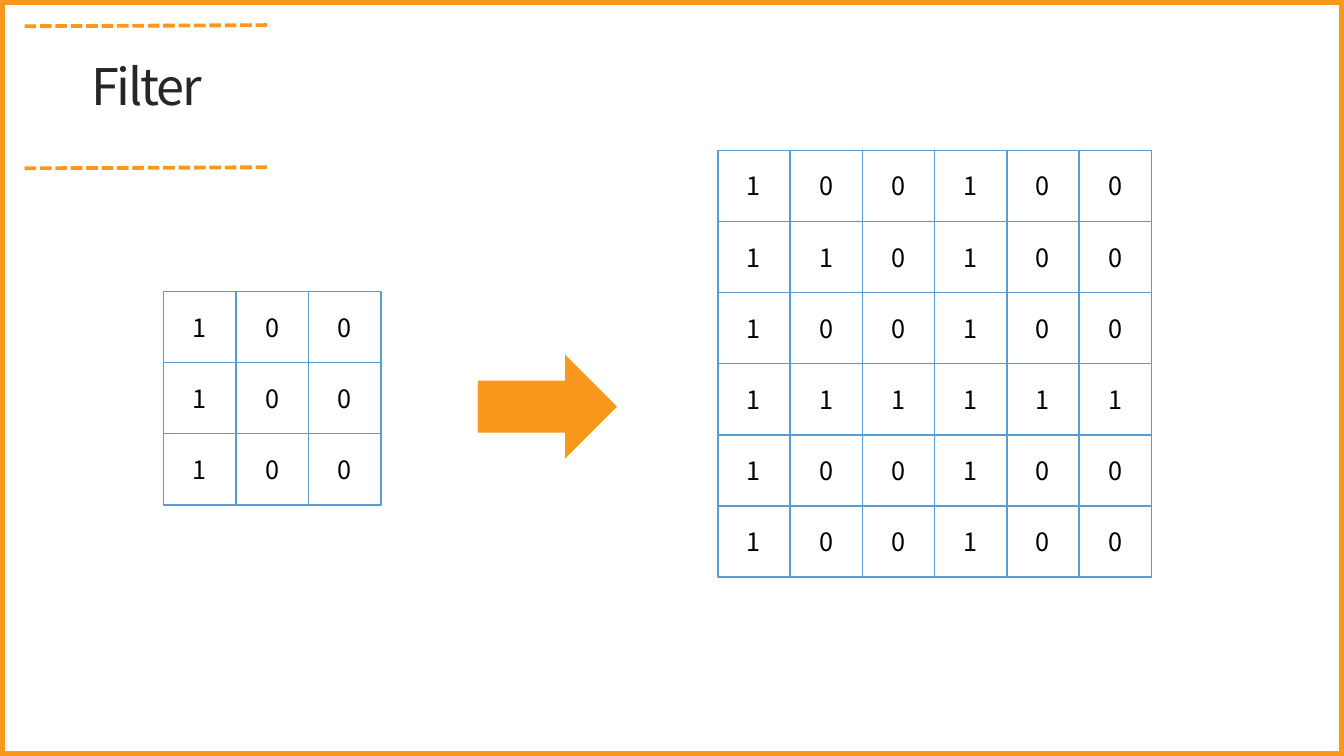
from dataclasses import dataclass

from lxml.etree import SubElement
from pptx import Presentation
from pptx.dml.color import RGBColor
from pptx.enum.dml import MSO_LINE
from pptx.enum.shapes import MSO_CONNECTOR, MSO_SHAPE
from pptx.enum.text import MSO_ANCHOR, PP_ALIGN
from pptx.oxml.ns import qn
from pptx.util import Inches, Pt

WIDTH, HEIGHT = Inches(13.33), Inches(7.5)


@dataclass(frozen=True)
class Theme:
    font: str = "Noto Sans CJK KR"
    accent: RGBColor = RGBColor(0xF8, 0x98, 0x1D)
    title: RGBColor = RGBColor(0x26, 0x26, 0x26)
    digit: RGBColor = RGBColor(0, 0, 0)
    cell: RGBColor = RGBColor(0xFF, 0xFF, 0xFF)
    cell_edge: RGBColor = RGBColor(0x5B, 0x9B, 0xD5)
    title_size: Pt = Pt(36)
    digit_size: Pt = Pt(18)
    frame_width: Pt = Pt(3.75)
    rule_width: Pt = Pt(2.75)
    edge_width: Pt = Pt(1)


THEME = Theme()
FILTER_ROWS = ["100"] * 3
INPUT_ROWS = ["100100", "110100", "100100", "111111", "100100", "100100"]


def across(percent):
    return round(WIDTH * percent / 100)


def down(percent):
    return round(HEIGHT * percent / 100)


def area(left, top, width, height):
    """Turn percentages of the slide into lengths."""
    return across(left), down(top), across(width), down(height)


def style_text(para, size, color):
    para.alignment = PP_ALIGN.CENTER
    for span in para.runs:
        span.font.name = THEME.font
        span.font.size = size
        span.font.color.rgb = color


def add_box(page, kind, place, fill=None, edge=None, edge_width=None):
    box = page.shapes.add_shape(kind, *place)
    box.shadow.inherit = False
    if fill is None:
        box.fill.background()
    else:
        box.fill.solid()
        box.fill.fore_color.rgb = fill
    if edge is None:
        box.line.fill.background()
    else:
        box.line.color.rgb = edge
        box.line.width = edge_width
    return box


def add_dashed_rule(page, right_y, left_y):
    rule = page.shapes.add_connector(
        MSO_CONNECTOR.STRAIGHT,
        across(19.88), down(right_y), across(1.73), down(left_y))
    rule.line.color.rgb = THEME.accent
    rule.line.width = THEME.rule_width
    rule.line.dash_style = MSO_LINE.SQUARE_DOT
    SubElement(rule.element.spPr, qn("a:effectLst"))


def set_title(page, text):
    title = page.shapes.title
    title.left, title.top, title.width, title.height = area(-0.53, 7.47, 22.88, 9.47)
    frame = title.text_frame
    frame.text = text
    frame.vertical_anchor = MSO_ANCHOR.TOP
    para = frame.paragraphs[0]
    para.line_spacing = 0.9
    style_text(para, THEME.title_size, THEME.title)
    para.runs[0].font._element.set("spc", "-150")


def add_matrix(page, place, rows):
    """Divide the place evenly into one square per digit."""
    left, top, width, height = place
    cell_width, cell_height = width / len(rows[0]), height / len(rows)
    for row, digits in enumerate(rows):
        for column, digit in enumerate(digits):
            cell_place = (round(left + column * cell_width),
                          round(top + row * cell_height),
                          round(cell_width), round(cell_height))
            cell = add_box(page, MSO_SHAPE.RECTANGLE, cell_place,
                           THEME.cell, THEME.cell_edge, THEME.edge_width)
            frame = cell.text_frame
            frame.text = digit
            frame.vertical_anchor = MSO_ANCHOR.MIDDLE
            style_text(frame.paragraphs[0], THEME.digit_size, THEME.digit)


def main():
    deck = Presentation()
    deck.slide_width, deck.slide_height = WIDTH, HEIGHT
    page = deck.slides.add_slide(deck.slide_layouts.get_by_name("Title Only"))

    add_box(page, MSO_SHAPE.RECTANGLE, area(0.15, 0.27, 99.7, 99.47),
            edge=THEME.accent, edge_width=THEME.frame_width)
    add_dashed_rule(page, 22.13, 22.27)
    add_dashed_rule(page, 3.33, 3.47)
    set_title(page, "Filter")
    add_matrix(page, area(12.15, 38.53, 16.2, 28.27), FILTER_ROWS)
    add_matrix(page, area(53.41, 19.87, 32.26, 56.47), INPUT_ROWS)
    add_box(page, MSO_SHAPE.RIGHT_ARROW, area(35.56, 46.93, 10.35, 13.73),
            fill=THEME.accent)

    deck.save("out.pptx")


if __name__ == "__main__":
    main()
